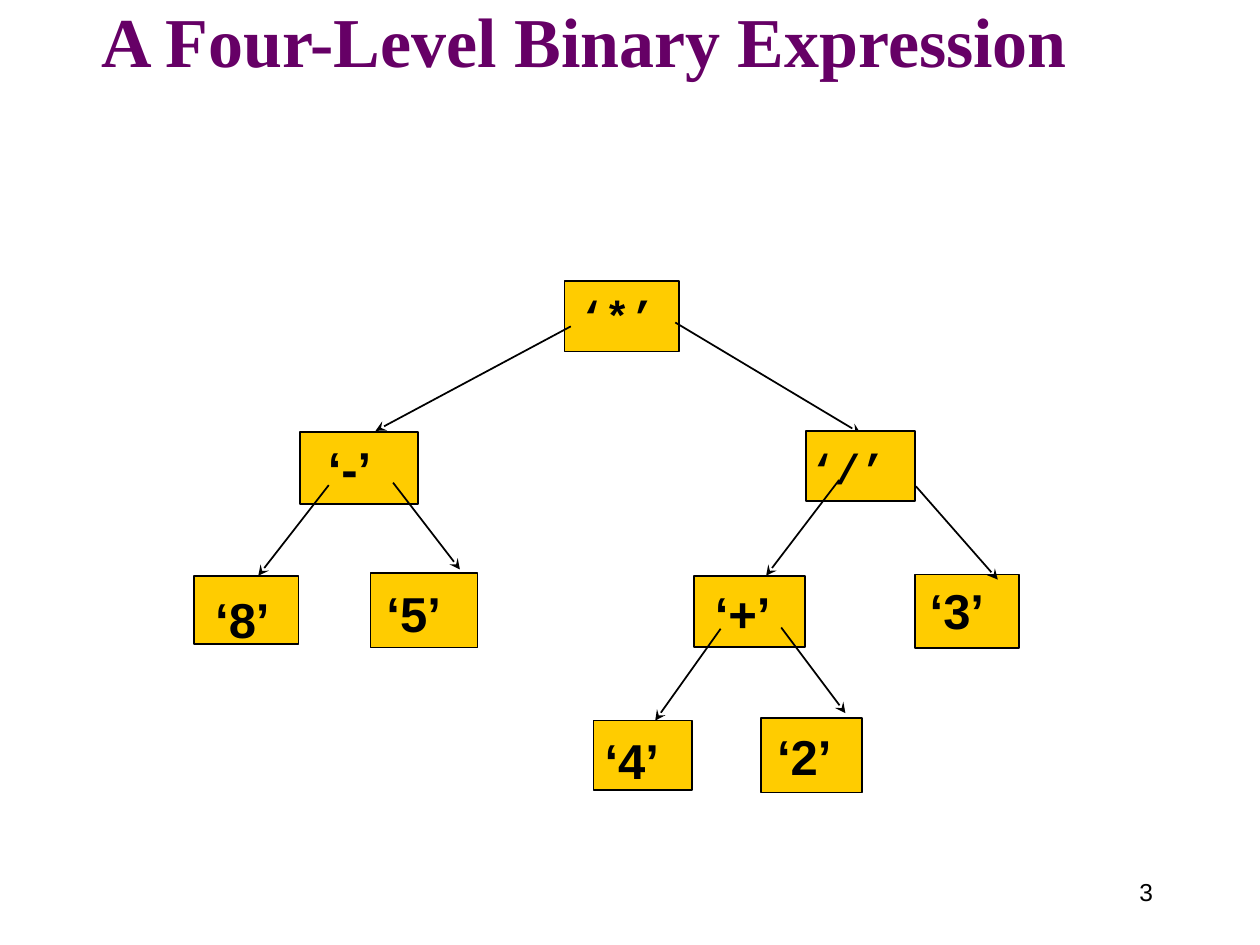
from lxml import etree
from pptx import Presentation
from pptx import util as u
from pptx.dml.color import RGBColor
from pptx.enum import shapes, text
from pptx.oxml import ns

PURPLE = RGBColor(0x66, 0x00, 0x66)
GOLD = RGBColor(0xFF, 0xCC, 0x00)
BLACK = RGBColor(0x00, 0x00, 0x00)

LEFT_NODES = [
    (322.6, 160.6, 65.5, 40.3),
    (171.4, 247, 67.7, 41),
    (110.9, 329, 59.8, 38.9),
    (211.7, 327.6, 61.2, 42.5),
]
LEFT_LINKS = [
    (491.8, 247.7, 385.9, 184.3),
    (262.8, 325.4, 224.6, 275.8),
    (147.6, 329, 187.9, 277.2),
    (214.6, 246.2, 326.2, 186.5),
]
LEFT_LABELS = [
    ("‘*’", 324, 162, 57.6, "Courier New", 24, 0),
    ("‘-’", 173.5, 247, 46.1, "Arial", 28, 6.67),
    ("‘8’", 115.9, 333.4, 45.4, "Arial", 28, 0),
    ("‘5’", 213.8, 329.8, 45.4, "Arial", 28, 0),
]
RIGHT_NODES = [
    (460.8, 246.2, 61.9, 40.3),
    (396.7, 329, 63.4, 41),
    (522.7, 328.3, 59.8, 41.8),
    (339.1, 411.8, 56.2, 39.6),
    (434.9, 410.4, 57.6, 42.5),
]
RIGHT_LINKS = [
    (570.2, 331.2, 523.4, 277.9),
    (483.1, 407.5, 446.4, 358.6),
    (374.4, 411.8, 411.8, 359.3),
    (437.8, 329, 479.5, 274.3),
]
RIGHT_LABELS = [
    ("‘/’", 455.8, 249.1, 57.6, "Courier New", 24, 0),
    ("‘+’", 394.6, 329.8, 53.3, "Arial", 28, 6.67),
    ("‘4’", 338.4, 414, 45.4, "Arial", 28, 0),
    ("‘3’", 524.2, 328.3, 45.4, "Arial", 28, 0),
    ("‘2’", 437, 411.8, 45.4, "Arial", 28, 0),
]


def write(frame, words, *, font="Arial", size=28, color=BLACK, bold=True,
          align=text.PP_ALIGN.LEFT, anchor=text.MSO_ANCHOR.TOP, wrap=False,
          insets=(7.2, 3.6, 7.2, 3.6)):
    frame.word_wrap = wrap
    frame.auto_size = text.MSO_AUTO_SIZE.NONE
    frame.vertical_anchor = anchor
    frame.margin_left, frame.margin_top, frame.margin_right, frame.margin_bottom = map(u.Pt, insets)
    para = frame.paragraphs[0]
    para.alignment = align
    span = para.add_run()
    span.text = words
    span.font.name = font
    span.font.size = u.Pt(size)
    span.font.bold = bold
    span.font.color.rgb = color


class TreePage:
    def __init__(self, deck):
        self.page = deck.slides.add_slide(deck.slide_layouts[5])
        self.line_width = u.Pt(1)

    def title(self, words, bounds, **style):
        box = self.page.shapes.title
        box.left, box.top, box.width, box.height = map(u.Pt, bounds)
        write(box.text_frame, words, **style)

    def node(self, bounds):
        box = self.page.shapes.add_shape(shapes.MSO_SHAPE.RECTANGLE, *map(u.Pt, bounds))
        box.shadow.inherit = False
        box.fill.solid()
        box.fill.fore_color.rgb = GOLD
        box.line.color.rgb = BLACK
        box.line.width = self.line_width

    def link(self, ends):
        arrow = self.page.shapes.add_connector(shapes.MSO_CONNECTOR.STRAIGHT, *map(u.Pt, ends))
        arrow.line.color.rgb = BLACK
        arrow.line.width = self.line_width
        outline = arrow.line._get_or_add_ln()
        etree.SubElement(outline, ns.qn("a:headEnd"), type="stealth")
        etree.SubElement(arrow._element.spPr, ns.qn("a:effectLst"))

    def label(self, words, bounds, **style):
        box = self.page.shapes.add_textbox(*map(u.Pt, bounds))
        write(box.text_frame, words, **style)

    def branch(self, nodes, links, labels):
        for bounds in nodes:
            self.node(bounds)
        for ends in links:
            self.link(ends)
        for words, left, top, width, font, size, indent in labels:
            height = 36 if size == 24 else 41
            self.label(words, (left, top, width, height), font=font, size=size,
                       insets=(7.2 + indent, 3.6, 7.2, 3.6))


def main():
    deck = Presentation()
    deck.slide_width, deck.slide_height = u.Pt(720), u.Pt(540)
    tree = TreePage(deck)
    tree.title("A Four-Level Binary Expression", (48.2, 41.8, 606.2, 59.8),
               font="Times New Roman", size=40, color=PURPLE, wrap=True,
               align=text.PP_ALIGN.CENTER, anchor=text.MSO_ANCHOR.BOTTOM,
               insets=(7.2, 0, 42, 55))
    tree.branch(LEFT_NODES, LEFT_LINKS, LEFT_LABELS)
    tree.branch(RIGHT_NODES, RIGHT_LINKS, RIGHT_LABELS)
    tree.label("3", (617.8, 491.8, 48.2, 36), size=14, bold=False, wrap=True,
               align=text.PP_ALIGN.RIGHT, anchor=text.MSO_ANCHOR.MIDDLE)
    deck.save("out.pptx")


if __name__ == "__main__":
    main()
